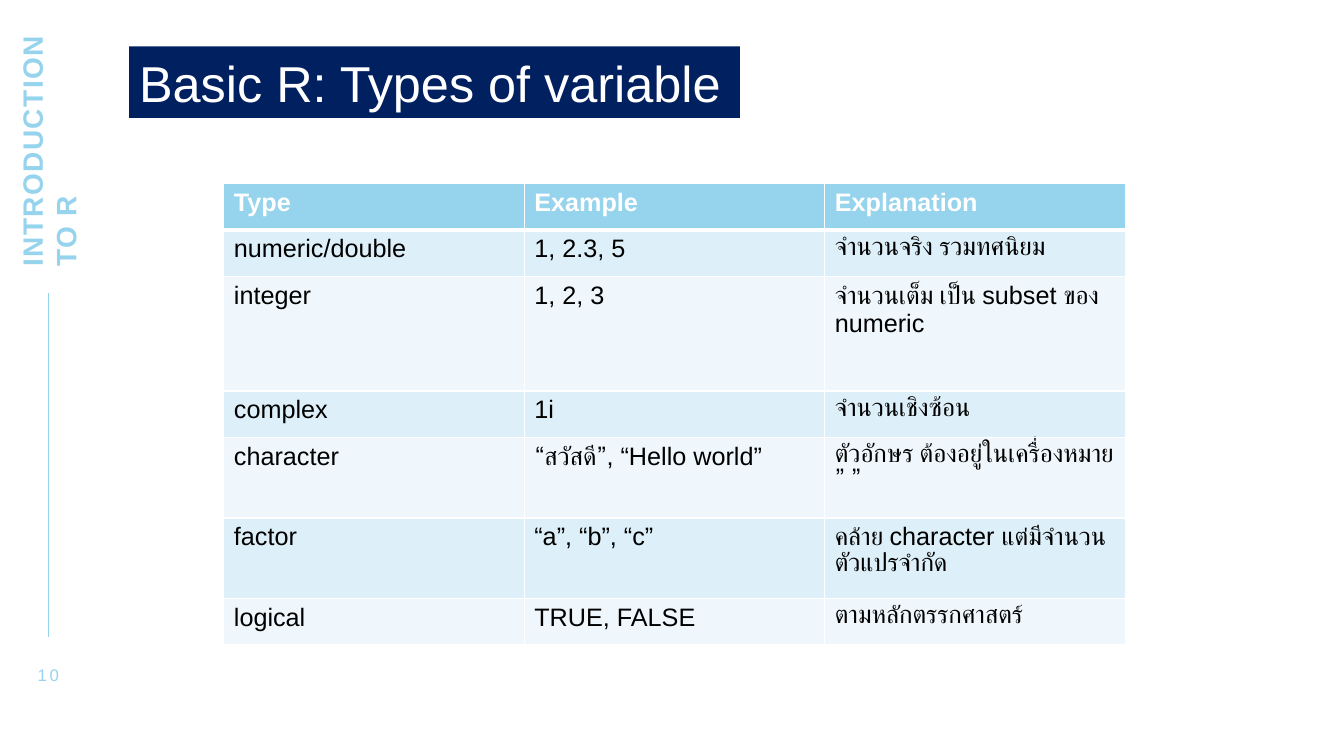
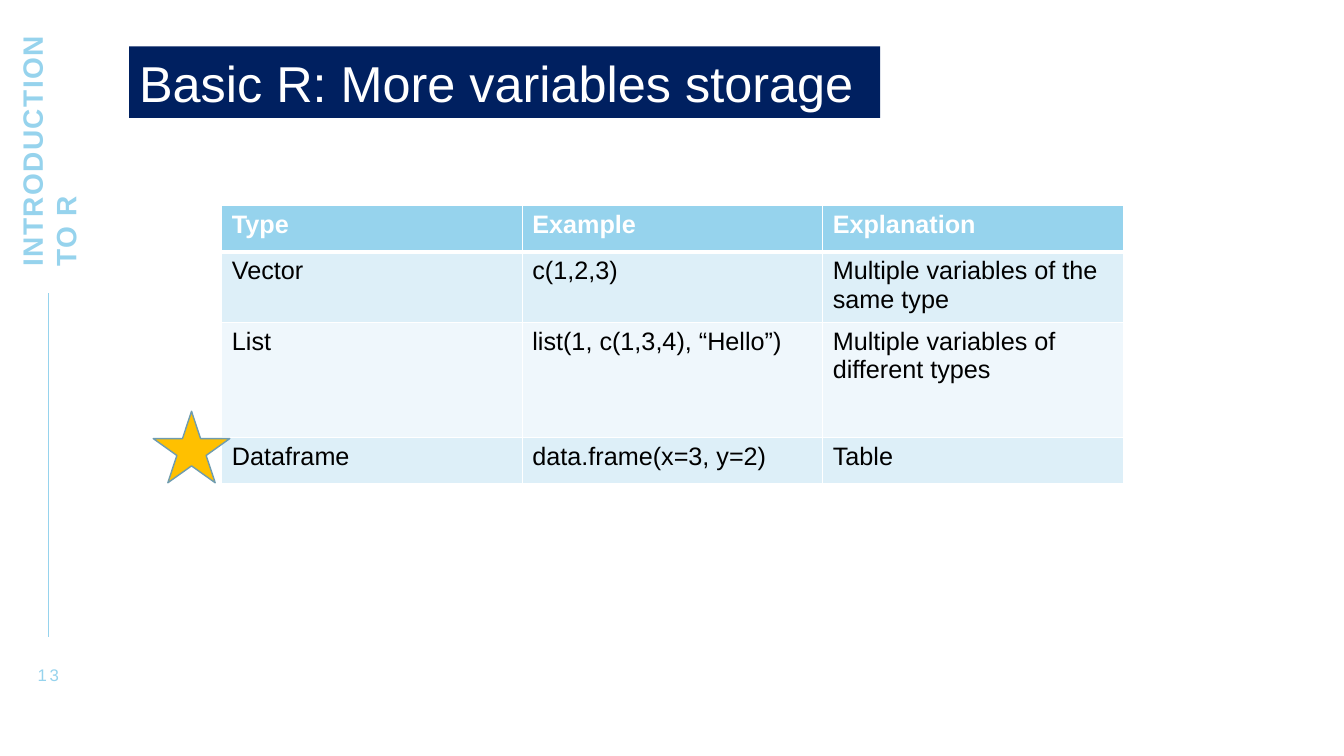
from lxml import etree
from pptx import Presentation
from pptx.dml.color import RGBColor
from pptx.enum.shapes import MSO_CONNECTOR, MSO_SHAPE
from pptx.enum.text import MSO_ANCHOR, MSO_AUTO_SIZE, PP_ALIGN
from pptx.oxml.ns import qn
from pptx.util import Inches, Pt

SKY = RGBColor(0x96, 0xD3, 0xED)
NAVY = RGBColor(0x00, 0x20, 0x60)
WHITE = RGBColor(0xFF, 0xFF, 0xFF)
BLACK = RGBColor(0x00, 0x00, 0x00)
BAND_DARK = RGBColor(0xDD, 0xEF, 0xF8)
BAND_LIGHT = RGBColor(0xEF, 0xF7, 0xFC)
GOLD = RGBColor(0xFF, 0xC0, 0x00)
STAR_EDGE = RGBColor(0x6F, 0x9C, 0xAF)

FONT = "Arial"
COLUMN_WIDTH = 2.98
HEADER = ("Type", "Example", "Explanation")

PAGES = [
    {
        "number": "10",
        "title": "Basic R: Types of variable",
        "title_width": 6.06,
        "table_at": (2.22, 1.82),
        "row_heights": (0.46, 0.46, 1.14, 0.46, 0.8, 0.8, 0.46),
        "rows": [
            ("numeric/double", "1, 2.3, 5", "จำนวนจริง รวมทศนิยม"),
            ("integer", "1, 2, 3", "จำนวนเต็ม เป็น subset ของ numeric"),
            ("complex", "1i", "จำนวนเชิงซ้อน"),
            ("character", "“สวัสดี”, “Hello world”",
             "ตัวอักษร ต้องอยู่ในเครื่องหมาย ” ”"),
            ("factor", "“a”, “b”, “c”",
             "คล้าย character แต่มีจำนวนตัวแปรจำกัด"),
            ("logical", "TRUE, FALSE", "ตามหลักตรรกศาสตร์"),
        ],
    },
    {
        "number": "13",
        "title": "Basic R: More variables storage",
        "title_width": 7.45,
        "table_at": (2.2, 2.04),
        "row_heights": (0.46, 0.7, 1.14, 0.46),
        "rows": [
            ("Vector", "c(1,2,3)", "Multiple variables of the same type"),
            ("List", "list(1, c(1,3,4), “Hello”)",
             "Multiple variables of different types"),
            ("Dataframe", "data.frame(x=3, y=2)", "Table"),
        ],
    },
]


def add_text(frame, text, size, color, bold=False, spacing=0):
    """Add one styled run to the first paragraph; spacing is in points."""
    para = frame.paragraphs[0]
    span = para.add_run()
    span.text = text
    span.font.name = FONT
    span.font.size = Pt(size)
    span.font.bold = bold
    span.font.color.rgb = color
    if spacing:
        span.font._element.set("spc", str(spacing * 100))
    return para


def set_borders(cell, top, bottom):
    """Draw white cell borders; top and bottom widths are in points."""
    properties = cell._tc.get_or_add_tcPr()
    widths = {"a:lnL": 1, "a:lnR": 1, "a:lnT": top, "a:lnB": bottom}
    for position, (tag, width) in enumerate(widths.items()):
        line = etree.Element(qn(tag), w=str(Pt(width)))
        fill = etree.SubElement(line, qn("a:solidFill"))
        etree.SubElement(fill, qn("a:srgbClr"), val=str(WHITE))
        properties.insert(position, line)


deck = Presentation()
deck.slide_width = Inches(13.33)
deck.slide_height = Inches(7.5)
title_only = deck.slide_layouts[5]

for content in PAGES:
    page = deck.slides.add_slide(title_only)

    # Side strip: rule, page number and rotated section name
    rule = page.shapes.add_connector(
        MSO_CONNECTOR.STRAIGHT,
        Inches(0.48), Inches(2.91), Inches(0.48), Inches(6.32))
    rule.line.color.rgb = SKY
    rule.line.width = Pt(1)
    etree.SubElement(rule._element.spPr, qn("a:effectLst"))

    number_box = page.shapes.add_textbox(
        Inches(0.23), Inches(6.59), Inches(0.5), Inches(0.2))
    section_box = page.shapes.add_textbox(
        Inches(-0.79), Inches(1.24), Inches(2.54), Inches(0.27))
    section_box.rotation = 270
    for box in (number_box, section_box):
        frame = box.text_frame
        frame.word_wrap = True
        frame.vertical_anchor = MSO_ANCHOR.MIDDLE
        frame.margin_left = frame.margin_right = 0
        frame.margin_top = frame.margin_bottom = 0
    para = add_text(number_box.text_frame, content["number"], 12, SKY, spacing=2)
    para.alignment = PP_ALIGN.CENTER
    add_text(section_box.text_frame, "INTRODUCTION TO R", 20, SKY,
             bold=True, spacing=1)

    # Title band
    title = page.shapes.title
    title.left, title.top = Inches(1.28), Inches(0.46)
    title.width, title.height = Inches(content["title_width"]), Inches(0.71)
    title.fill.solid()
    title.fill.fore_color.rgb = NAVY
    title.text_frame.auto_size = MSO_AUTO_SIZE.NONE
    title.text_frame.vertical_anchor = MSO_ANCHOR.MIDDLE
    para = add_text(title.text_frame, content["title"], 36, WHITE)
    para.alignment = PP_ALIGN.LEFT

    # Table with a header row and alternating bands
    rows = [HEADER] + content["rows"]
    heights = content["row_heights"]
    left, top = content["table_at"]
    table = page.shapes.add_table(
        len(rows), len(HEADER), Inches(left), Inches(top),
        Inches(COLUMN_WIDTH * len(HEADER)), Inches(sum(heights))).table
    table.horz_banding = False
    for column in table.columns:
        column.width = Inches(COLUMN_WIDTH)
    for r, (texts, height) in enumerate(zip(rows, heights)):
        table.rows[r].height = Inches(height)
        is_header = r == 0
        band = SKY if is_header else BAND_DARK if r % 2 else BAND_LIGHT
        for c, text in enumerate(texts):
            cell = table.cell(r, c)
            cell.fill.solid()
            cell.fill.fore_color.rgb = band
            set_borders(cell, top=3 if r == 1 else 1, bottom=3 if is_header else 1)
            add_text(cell.text_frame, text, 18,
                     WHITE if is_header else BLACK, bold=is_header)

# Star beside the Dataframe row of the last page
star = page.shapes.add_shape(
    MSO_SHAPE.STAR_5_POINT, Inches(1.52), Inches(4.08), Inches(0.76), Inches(0.71))
star.shadow.inherit = False
star.fill.solid()
star.fill.fore_color.rgb = GOLD
star.line.color.rgb = STAR_EDGE
star.line.width = Pt(1)

deck.save("out.pptx")
